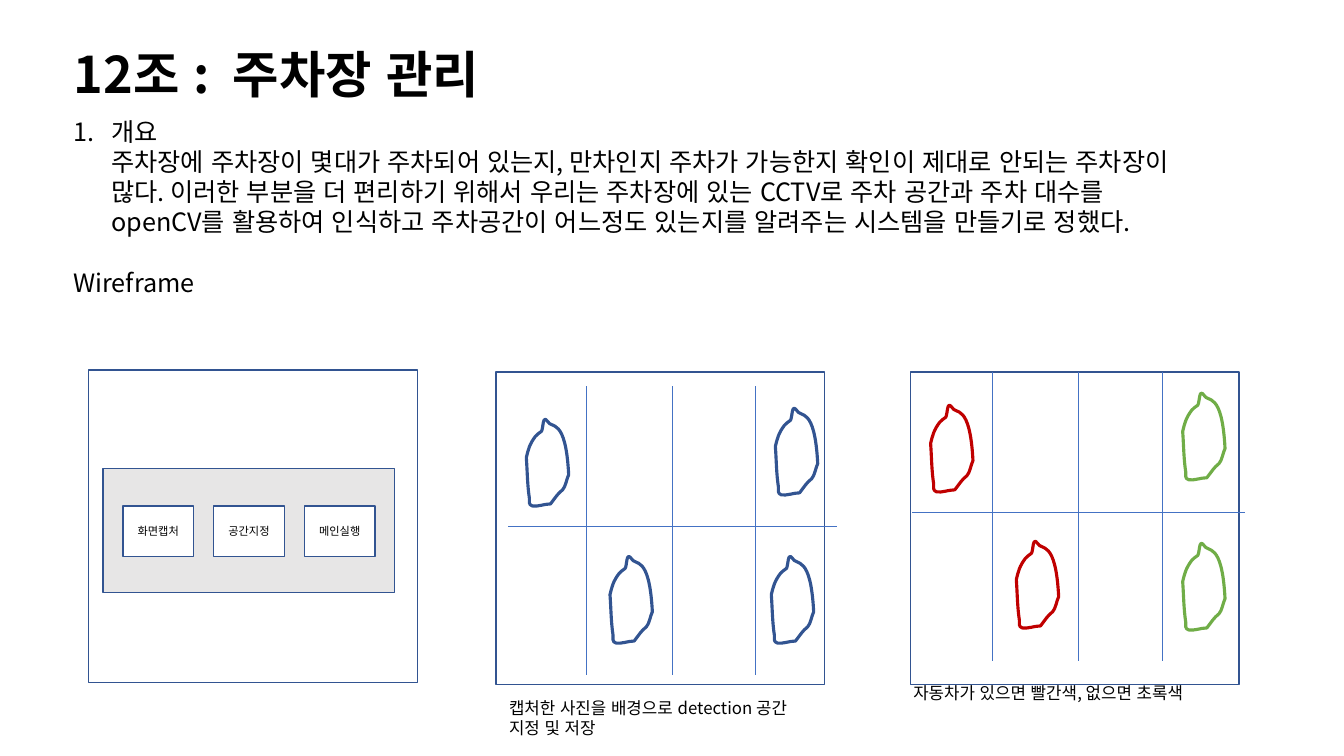
from pptx import Presentation
from pptx.dml.color import RGBColor
from pptx.enum.lang import MSO_LANGUAGE_ID
from pptx.enum.shapes import MSO_CONNECTOR, MSO_SHAPE
from pptx.enum.text import MSO_ANCHOR, MSO_AUTO_SIZE, PP_ALIGN
from pptx.oxml.ns import qn
from pptx.util import Inches, Pt
from lxml.etree import SubElement

BLACK = RGBColor(0x00, 0x00, 0x00)
WHITE = RGBColor(0xFF, 0xFF, 0xFF)
GREY = RGBColor(0xE7, 0xE6, 0xE6)
NAVY = RGBColor(0x32, 0x54, 0x91)
BLUE = RGBColor(0x44, 0x72, 0xC4)
RED = RGBColor(0xC0, 0x00, 0x00)
GREEN = RGBColor(0x70, 0xAD, 0x47)

FONT = "Noto Sans CJK KR"
CELL = Inches(0.1)  # side of one square grid cell
PANEL_SIZE = (32.6, 31)

# Car outline in tenths of a cell: each row is a Bezier curve's two controls and end.
CAR_SIZE = (42, 86)
CAR_START = (21, 2)
CAR_CURVES = [
    ((16, -5), (17, 9), (15, 12)),
    ((13, 14), (10, 15), (9, 17)),
    ((3, 25), (2, 30), (0, 38)),
    ((1, 51), (1, 65), (3, 78)),
    ((3, 81), (2, 85), (6, 86)),
    ((11, 87), (18, 84), (24, 84)),
    ((26, 81), (28, 79), (30, 76)),
    ((31, 74), (34, 72), (36, 70)),
    ((39, 67), (40, 59), (42, 55)),
    ((39, -3), (25, 10), CAR_START),
]


def grid(*cells):
    return [round(cell * CELL) for cell in cells]


def curve_outline(shape):
    """Replace the straight segments of a car's outline by its Bezier curves."""
    outline = shape._element.find(".//" + qn("a:path"))
    for segment in list(outline):
        outline.remove(segment)
    for side, length in zip("wh", grid(*CAR_SIZE)):
        outline.set(side, str(length))
    steps = [("a:moveTo", [CAR_START])] + [("a:cubicBezTo", curve) for curve in CAR_CURVES]
    for tag, points in steps:
        segment = SubElement(outline, qn(tag))
        for point in points:
            x, y = grid(*point)
            SubElement(segment, qn("a:pt"), x=str(x), y=str(y))
    SubElement(outline, qn("a:close"))


def write(frame, text, size=18, bold=False, align=PP_ALIGN.LEFT, anchor=MSO_ANCHOR.TOP):
    """Fill a text frame: \\n starts a paragraph and \\v breaks a line."""
    frame.word_wrap = True
    frame.auto_size = MSO_AUTO_SIZE.NONE
    frame.vertical_anchor = anchor
    frame.text = text
    for para in frame.paragraphs:
        para.alignment = align
        para.font.size = Pt(size)
        for span in para.runs:
            span.font.name = FONT
            span.font.size = Pt(size)
            span.font.bold = bold
            span.font.color.rgb = BLACK
            span.font.language_id = MSO_LANGUAGE_ID.KOREAN


def number(para, indent):
    """Give a paragraph an automatic number in a hanging indent."""
    properties = para._p.get_or_add_pPr()
    properties.set("marL", str(indent))
    properties.set("indent", str(-indent))
    SubElement(properties, qn("a:buFont"), typeface="+mj-lt")
    SubElement(properties, qn("a:buAutoNum"), type="arabicPeriod")


class Page:
    """A title-only slide whose elements are placed in grid cells."""

    def __init__(self, deck):
        self.slide = deck.slides.add_slide(deck.slide_layouts[5])
        self.shapes = self.slide.shapes

    def title(self, place, text):
        box = self.shapes.title
        box.left, box.top, box.width, box.height = grid(*place)
        write(box.text_frame, text, size=36, bold=True)

    def text(self, place, text, **style):
        box = self.shapes.add_textbox(*grid(*place))
        write(box.text_frame, text, **style)
        return box.text_frame.paragraphs

    def paint(self, shape, fill, line, width):
        shape.shadow.inherit = False
        shape.fill.solid()
        shape.fill.fore_color.rgb = fill
        shape.line.color.rgb = line
        shape.line.width = Pt(width)

    def box(self, place, fill=WHITE, text=""):
        shape = self.shapes.add_shape(MSO_SHAPE.RECTANGLE, *grid(*place))
        self.paint(shape, fill, NAVY, 1)
        if text:
            write(shape.text_frame, text, size=8, align=PP_ALIGN.CENTER,
                  anchor=MSO_ANCHOR.MIDDLE)

    def line(self, *ends):
        line = self.shapes.add_connector(MSO_CONNECTOR.STRAIGHT, *grid(*ends))
        line.line.color.rgb = BLUE
        line.line.width = Pt(0.5)
        SubElement(line._element.spPr, qn("a:effectLst"))

    def car(self, left, top, color):
        builder = self.shapes.build_freeform(*CAR_START, scale=CELL / 10)
        builder.add_line_segments([curve[-1] for curve in CAR_CURVES], close=True)
        shape = builder.convert_to_shape()
        shape.left, shape.top = grid(left, top)
        shape.width, shape.height = grid(*(side / 10 for side in CAR_SIZE))
        curve_outline(shape)
        self.paint(shape, WHITE, color, 2.25)

    def parking_lot(self, left, top, width, dividers, cars):
        """Draw the bay lines and the cars, placed from the lot's top left corner."""
        middle = top + 13.9
        self.line(left, middle, left + width, middle)
        for divider in dividers:
            self.line(left + divider, top, left + divider, top + 28.7)
        for across, down, color in cars:
            self.car(left + across, top + down, color)


def main():
    deck = Presentation()
    deck.slide_width, deck.slide_height = Inches(13.33), Inches(7.5)
    page = Page(deck)

    page.title((6.3, 3.8, 50.7, 7.1), "12조 :  주차장 관리")
    overview, wireframe = page.text(
        (6.3, 11, 113.4, 22.2),
        "개요\v주차장에 주차장이 몇대가 주차되어 있는지, 만차인지 주차가 가능한지 확인이 "
        "제대로 안되는 주차장이 많다. 이러한 부분을 더 편리하기 위해서 우리는 주차장에 있는 "
        "CCTV로 주차 공간과 주차 대수를 openCV를 활용하여 인식하고 주차공간이 어느정도 "
        "있는지를 알려주는 시스템을 만들기로 정했다.\nWireframe")
    number(overview, Inches(0.375))
    wireframe.space_before = Pt(21.6)

    for left, top in ((8.8, 36.7), (49.2, 36.9), (90.3, 36.9)):
        page.box((left, top, *PANEL_SIZE))

    page.box((10.2, 46.5, 28.9, 12.3), fill=GREY)
    for index, label in enumerate(("화면캡처", "공간지정", "메인실행")):
        page.box((12.2 + 9 * index, 50.2, 7, 5), text=label)

    page.text((49.5, 68.7, 39.2, 5), "캡처한 사진을 배경으로 detection 공간\v지정 및 저장", size=12)
    page.parking_lot(50.4, 38.3, 32.6, (7.8, 16.3, 24.5), (
        (1.8, 3.3, NAVY), (10.1, 16.9, NAVY), (26.5, 2.2, NAVY), (26.1, 16.9, NAVY)))

    page.text((89.6, 67.2, 39.7, 3), "자동차가 있으면 빨간색, 없으면 초록색", size=12)
    page.parking_lot(90.5, 36.9, 33, (7.9, 16.5, 24.8), (
        (1.8, 3.3, RED), (10.3, 16.8, RED), (26.8, 2.1, GREEN), (26.8, 17, GREEN)))

    deck.save("out.pptx")


if __name__ == "__main__":
    main()
